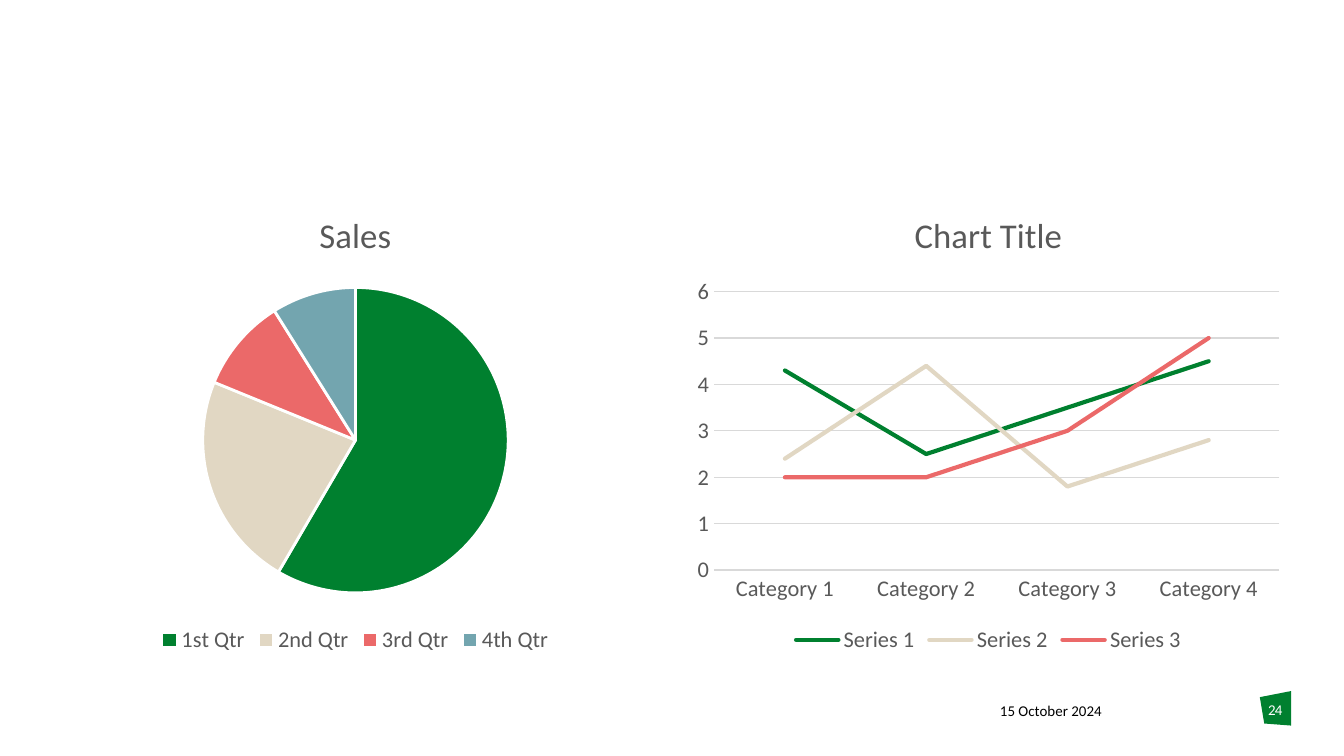
from dataclasses import dataclass

from pptx import Presentation
from pptx.chart.chart import Chart
from pptx.chart.data import CategoryChartData
from pptx.dml.color import RGBColor
from pptx.enum.chart import XL_CHART_TYPE, XL_LEGEND_POSITION, XL_MARKER_STYLE, XL_TICK_MARK
from pptx.enum.text import PP_ALIGN
from pptx.oxml.ns import qn
from pptx.slide import Slide
from pptx.util import Pt

FONT = "Calibri"
COLORS = {
    "green": "00802F",
    "sand": "E1D7C3",
    "coral": "EB6969",
    "teal": "73A5AF",
    "label": "595959",
    "grid": "D9D9D9",
    "white": "FFFFFF",
    "black": "000000",
}
PALETTE = ("green", "sand", "coral", "teal")
CHART_TOP, CHART_WIDTH, CHART_HEIGHT = 100.8, 324.7, 252


@dataclass
class ChartPanel:
    kind: XL_CHART_TYPE
    left: float
    title: str
    categories: tuple[str, ...]
    series: dict[str, tuple[float, ...]]


def color(name: str) -> RGBColor:
    return RGBColor.from_string(COLORS[name])


def format_font(font, size: float, name: str) -> None:
    font.name = FONT
    font.size = Pt(size)
    font.bold = False
    font.color.rgb = color(name)


def add_text(page: Slide, text: str, *, left: float, top: float, width: float,
             height: float, size: float = 8, fill: str = "black",
             align: PP_ALIGN = PP_ALIGN.LEFT, spacing: float = 0) -> None:
    box = page.shapes.add_textbox(Pt(left), Pt(top), Pt(width), Pt(height))
    frame = box.text_frame
    frame.word_wrap = True
    frame.margin_left = frame.margin_right = frame.margin_top = frame.margin_bottom = 0
    para = frame.paragraphs[0]
    para.alignment = align
    span = para.add_run()
    span.text = text
    format_font(span.font, size, fill)
    if spacing:
        span._r.get_or_add_rPr().set("spc", str(round(spacing * 100)))


def add_panel(page: Slide, panel: ChartPanel) -> Chart:
    """Add a chart with its title and a legend below."""
    data = CategoryChartData()
    data.categories = panel.categories
    for name, values in panel.series.items():
        data.add_series(name, values)
    chart = page.shapes.add_chart(panel.kind, Pt(panel.left), Pt(CHART_TOP),
                                  Pt(CHART_WIDTH), Pt(CHART_HEIGHT), data).chart
    format_font(chart.font, 10, "black")
    chart.has_title = True
    chart.chart_title.include_in_layout = False
    para = chart.chart_title.text_frame.paragraphs[0]
    span = para.add_run()
    span.text = panel.title
    format_font(span.font, 18.6, "label")
    chart.has_legend = True
    chart.legend.position = XL_LEGEND_POSITION.BOTTOM
    chart.legend.include_in_layout = False
    format_font(chart.legend.font, 12, "label")
    return chart


def style_pie(chart: Chart) -> None:
    plot = chart.plots[0]
    plot.vary_by_categories = True
    for index, name in enumerate(PALETTE):
        style = plot.series[0].points[index].format
        style.fill.solid()
        style.fill.fore_color.rgb = color(name)
        style.line.color.rgb = color("white")
        style.line.width = Pt(1.5)


def style_lines(chart: Chart) -> None:
    plot = chart.plots[0]
    plot.vary_by_categories = False
    for series, name in zip(plot.series, PALETTE):
        series.smooth = False
        series.marker.style = XL_MARKER_STYLE.NONE
        series.format.line.color.rgb = color(name)
        series.format.line.width = Pt(2.25)
        # Rounded line ends
        series._element.spPr.find(qn("a:ln")).set("cap", "rnd")

    values, categories = chart.value_axis, chart.category_axis
    for axis in (values, categories):
        axis.major_tick_mark = axis.minor_tick_mark = XL_TICK_MARK.NONE
        format_font(axis.tick_labels.font, 12, "label")
    values.minimum_scale, values.maximum_scale, values.major_unit = 0, 6, 1
    values.has_major_gridlines = True
    values.format.line.fill.background()
    for line in (values.major_gridlines.format.line, categories.format.line):
        line.color.rgb = color("grid")
        line.width = Pt(0.75)


def add_number_badge(page: Slide) -> None:
    corners = [(674.9, 373.5), (691.7, 370.2), (691.7, 388.7), (677.3, 387.6)]
    points = [(Pt(x), Pt(y)) for x, y in corners]
    builder = page.shapes.build_freeform(*points[0])
    builder.add_line_segments(points[1:], close=True)
    badge = builder.convert_to_shape()
    badge.shadow.inherit = False
    badge.fill.solid()
    badge.fill.fore_color.rgb = color("green")
    badge.line.fill.background()


def main() -> None:
    deck = Presentation()
    deck.slide_width, deck.slide_height = Pt(720), Pt(405)
    page = deck.slides.add_slide(deck.slide_layouts[6])

    # Footer
    add_number_badge(page)
    add_text(page, "15 October 2024", left=535.7, top=375.8, width=92.9, height=14.4)

    # Charts
    sales = ChartPanel(
        XL_CHART_TYPE.PIE, 28.1, "Sales",
        ("1st Qtr", "2nd Qtr", "3rd Qtr", "4th Qtr"),
        {"Sales": (59, 23, 10, 9)},
    )
    trends = ChartPanel(
        XL_CHART_TYPE.LINE, 367.2, "Chart Title",
        ("Category 1", "Category 2", "Category 3", "Category 4"),
        {
            "Series 1": (4.3, 2.5, 3.5, 4.5),
            "Series 2": (2.4, 4.4, 1.8, 2.8),
            "Series 3": (2, 2, 3, 5),
        },
    )
    style_pie(add_panel(page, sales))
    style_lines(add_panel(page, trends))

    # Slide number
    add_text(page, "24", left=674.6, top=375.1, width=17.3, height=21.6,
             fill="white", align=PP_ALIGN.CENTER, spacing=-0.3)

    deck.save("out.pptx")


if __name__ == "__main__":
    main()
